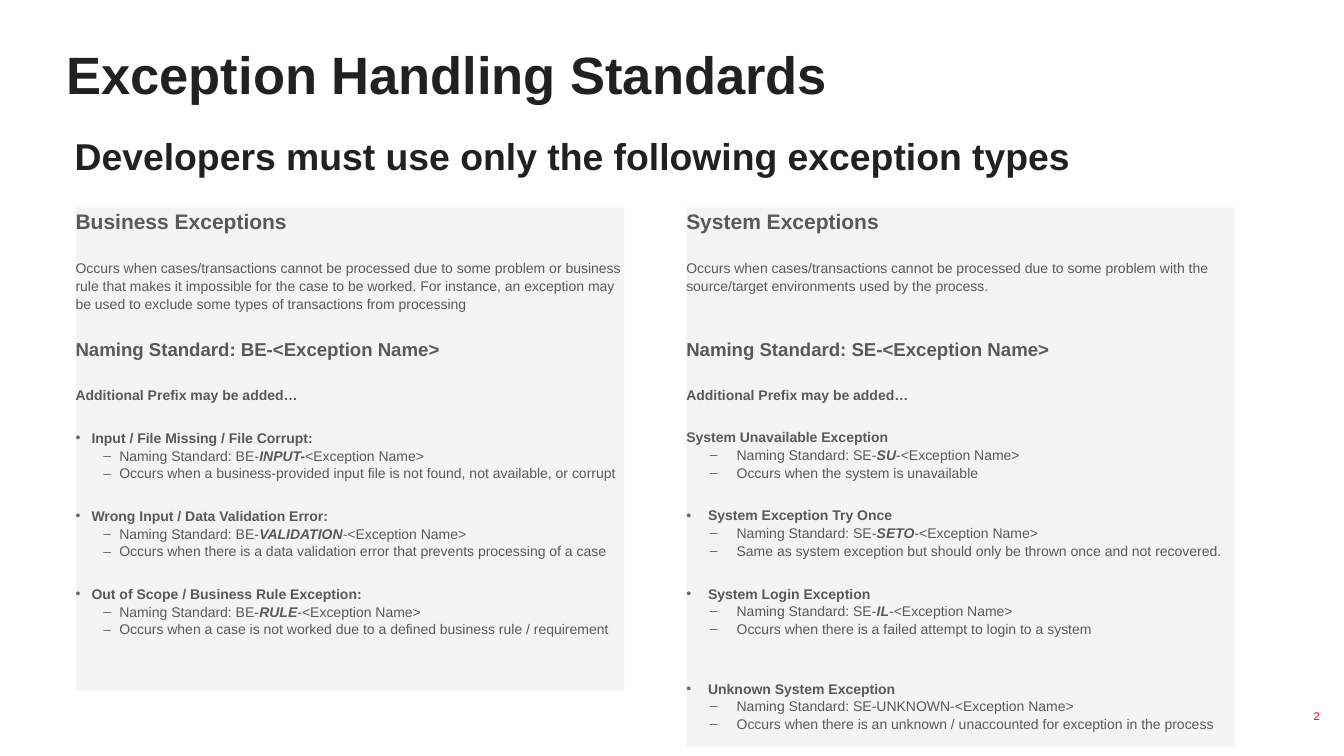
from lxml import etree
from pptx import Presentation
from pptx.dml.color import RGBColor
from pptx.enum.shapes import MSO_SHAPE
from pptx.enum.text import MSO_ANCHOR, PP_ALIGN
from pptx.oxml.ns import qn
from pptx.util import Inches, Pt

RECTANGLE = MSO_SHAPE.RECTANGLE
TOP, MIDDLE = MSO_ANCHOR.TOP, MSO_ANCHOR.MIDDLE
LEFT, RIGHT = PP_ALIGN.LEFT, PP_ALIGN.RIGHT

COLORS = {
    "title": "212121",
    "body": "595959",
    "bullet": "63666A",
    "panel": "F4F4F4",
    "number": "FF0000",
}
FONT = "Arial"
GAP = 21.6
LINE = 14.5
NAME = "<Exception Name>"
PREFIX_NOTE = "Additional Prefix may be added…"

BUSINESS = {
    "heading": "Business Exceptions",
    "summary": "Occurs when cases/transactions cannot be processed due to some "
               "problem or business rule that makes it impossible for the case "
               "to be worked. For instance, an exception may be used to exclude "
               "some types of transactions from processing",
    "prefix": "BE-",
    "naming_gap": GAP,
    "item_indent": (0.19, -0.19),
    "detail_indent": (0.52, -0.19),
    "items": [
        ("Input / File Missing / File Corrupt:", "INPUT-", NAME,
         "Occurs when a business-provided input file is not found, not available, or corrupt",
         "•", GAP),
        ("Wrong Input / Data Validation Error:", "VALIDATION", "-" + NAME,
         "Occurs when there is a data validation error that prevents processing of a case",
         "•", GAP),
        ("Out of Scope / Business Rule Exception:", "RULE", "-" + NAME,
         "Occurs when a case is not worked due to a defined business rule / requirement",
         "•", GAP),
    ],
}
SYSTEM = {
    "heading": "System Exceptions",
    "summary": "Occurs when cases/transactions cannot be processed due to some "
               "problem with the source/target environments used by the process.",
    "prefix": "SE-",
    "naming_gap": GAP + LINE,
    "item_indent": (0.26, -0.26),
    "detail_indent": (0.6, -0.32),
    "items": [
        ("System Unavailable Exception", "SU", "-" + NAME,
         "Occurs when the system is unavailable", None, GAP),
        ("System Exception Try Once", "SETO", "-" + NAME,
         "Same as system exception but should only be thrown once and not recovered.",
         "•", GAP),
        ("System Login Exception", "IL", "-" + NAME,
         "Occurs when there is a failed attempt to login to a system", "•", GAP),
        ("Unknown System Exception", "", "UNKNOWN-" + NAME,
         "Occurs when there is an unknown / unaccounted for exception in the process",
         "•", GAP + LINE),
    ],
}


def add_span(para, text, size=12, color="body", bold=False, italic=False):
    span = para.add_run()
    span.text = text
    font = span.font
    font.name, font.size = FONT, Pt(size)
    font.bold, font.italic = bold, italic
    font.color.rgb = RGBColor.from_string(COLORS[color])


def set_frame(frame, inset=(0, 0), anchor=TOP):
    frame.word_wrap = True
    frame.vertical_anchor = anchor
    frame.margin_left = frame.margin_right = Inches(inset[0])
    frame.margin_top = frame.margin_bottom = Inches(inset[1])


def set_bullet(para, mark, indent):
    properties = para._p.get_or_add_pPr()
    properties.set("marL", str(Inches(indent[0])))
    properties.set("indent", str(Inches(indent[1])))
    color = etree.SubElement(properties, qn("a:buClr"))
    etree.SubElement(color, qn("a:srgbClr"), val=COLORS["bullet"])
    etree.SubElement(properties, qn("a:buFont"), typeface=FONT)
    etree.SubElement(properties, qn("a:buChar"), char=mark)


def add_label(page, box, text, inset=(0, 0), anchor=TOP, align=LEFT, **style):
    frame = page.shapes.add_textbox(*map(Inches, box)).text_frame
    set_frame(frame, inset, anchor)
    para = frame.paragraphs[0]
    para.alignment = align
    add_span(para, text, **style)


def add_panel(page, box, content):
    panel = page.shapes.add_shape(RECTANGLE, *map(Inches, box))
    panel.shadow.inherit = False
    panel.fill.solid()
    panel.fill.fore_color.rgb = RGBColor.from_string(COLORS["panel"])
    panel.line.fill.background()
    frame = panel.text_frame
    set_frame(frame)

    def add_para(*spans, before=0, mark=None, indent=None):
        first = frame.paragraphs[0]
        para = frame.add_paragraph() if first.runs else first
        para.alignment = LEFT
        para.line_spacing = 1.05
        para.space_before = Pt(before)
        if mark:
            set_bullet(para, mark, indent)
        for text, style in spans:
            if text:
                add_span(para, text, **style)

    bold = {"bold": True}
    prefix = content["prefix"]
    add_para((content["heading"], {"size": 18, "bold": True}))
    add_para((content["summary"], {}), before=GAP)
    add_para((f"Naming Standard: {prefix}{NAME}", {"size": 16, "bold": True}),
             before=content["naming_gap"])
    add_para((PREFIX_NOTE, bold), before=GAP)
    detail = {"mark": "–", "indent": content["detail_indent"]}
    for title, code, ending, meaning, mark, gap in content["items"]:
        add_para((title, bold), before=gap, mark=mark, indent=content["item_indent"])
        add_para((f"Naming Standard: {prefix}", {}),
                 (code, {"bold": True, "italic": True}), (ending, {}), **detail)
        add_para((meaning, {}), **detail)


def add_header(page, box):
    left, top, width, height = box
    add_label(page, (left, top, width, 0.76), "Exception Handling Standards",
              size=45, color="title", bold=True)
    add_label(page, (left, top + height - 0.64, 14.13, 0.64),
              "Developers must use only the following exception types",
              inset=(0.1, 0.05), size=32, color="title", bold=True)


def main():
    deck = Presentation()
    deck.slide_width, deck.slide_height = Inches(16), Inches(9)
    page = deck.slides.add_slide(deck.slide_layouts[6])
    add_header(page, (0.79, 0.5, 13.31, 1.68))
    add_panel(page, (0.9, 2.47, 6.53, 5.75), BUSINESS)
    add_panel(page, (8.17, 2.47, 6.53, 6.42), SYSTEM)
    add_label(page, (15.21, 8.31, 0.6, 0.44), "2", inset=(0.1, 0.05),
              anchor=MIDDLE, align=RIGHT, size=9.6, color="number")
    deck.save("out.pptx")


if __name__ == "__main__":
    main()
